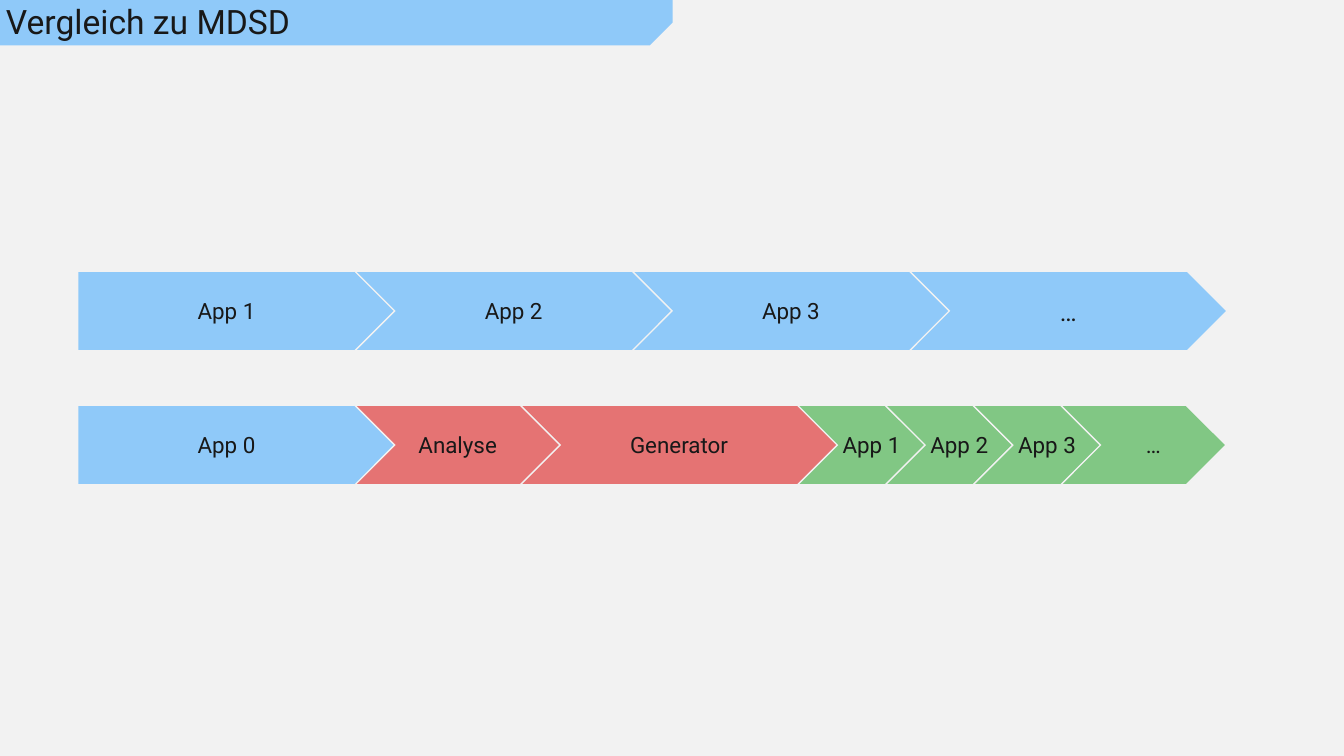
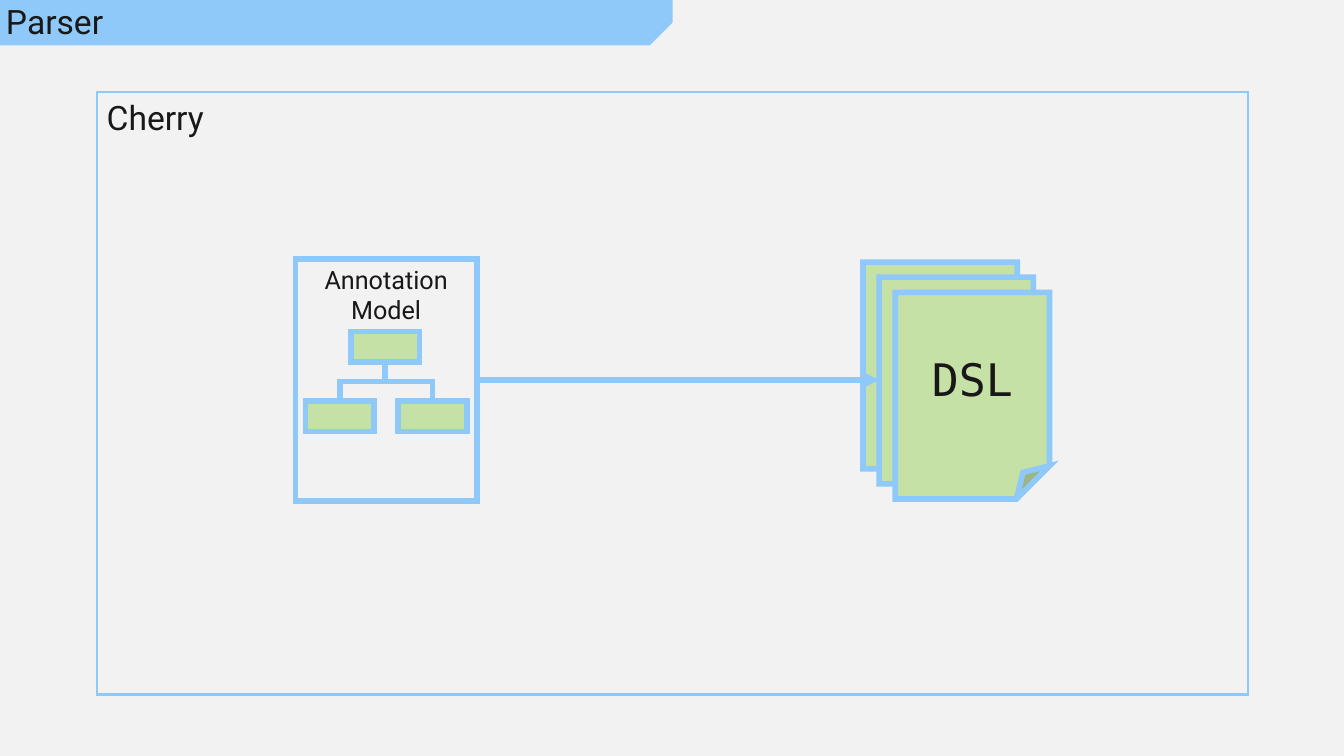
from dataclasses import dataclass

from lxml import etree
from pptx import Presentation
from pptx.dml.color import RGBColor
from pptx.enum.shapes import MSO_CONNECTOR, MSO_SHAPE
from pptx.enum.text import MSO_ANCHOR, PP_ALIGN
from pptx.oxml.ns import qn
from pptx.util import Inches, Pt

RECTANGLE = MSO_SHAPE.RECTANGLE
SNIPPED = MSO_SHAPE.SNIP_1_RECTANGLE
PENTAGON = MSO_SHAPE.PENTAGON
CHEVRON = MSO_SHAPE.CHEVRON
FOLDED_PAGE = MSO_SHAPE.FOLDED_CORNER
STRAIGHT = MSO_CONNECTOR.STRAIGHT
ELBOW = MSO_CONNECTOR.ELBOW
LEFT, CENTER = PP_ALIGN.LEFT, PP_ALIGN.CENTER
TOP, MIDDLE = MSO_ANCHOR.TOP, MSO_ANCHOR.MIDDLE


@dataclass(frozen=True)
class Theme:
    """Colours, fonts, type sizes and line widths of the deck."""
    background: str = "F2F2F2"
    text: str = "181818"
    blue: str = "8FC9F9"
    red: str = "E57373"
    green: str = "81C784"
    pale_green: str = "C5E1A5"
    font: str = "Roboto"
    code_font: str = "DejaVu Sans Mono"
    title_size: int = 24
    step_size: int = 16
    label_size: int = 18
    code_size: int = 32
    step_line: float = 1
    frame_line: float = 1.5
    bold_line: float = 4


THEME = Theme()


def set_line(shape, color, width):
    """Give a shape or connector a solid line with mitred corners."""
    shape.line.color.rgb = RGBColor.from_string(color)
    shape.line.width = Pt(width)
    etree.SubElement(shape.line._ln, qn("a:miter"), lim="800000")


def set_adjustment(shape, value):
    """Set the single adjustment of a preset shape as a fraction."""
    guides = shape._element.spPr.find(qn("a:prstGeom")).find(qn("a:avLst"))
    for guide in list(guides):
        guides.remove(guide)
    etree.SubElement(guides, qn("a:gd"), name="adj", fmla=f"val {round(value * 100000)}")


def write_text(shape, text, size, font=THEME.font, align=CENTER, anchor=MIDDLE):
    """Put one formatted paragraph in a shape and return its text frame."""
    frame = shape.text_frame
    frame.text = text
    frame.word_wrap = True
    frame.vertical_anchor = anchor
    paragraph = frame.paragraphs[0]
    paragraph.alignment = align
    run_font = paragraph.runs[0].font
    run_font.name = font
    run_font.size = Pt(size)
    run_font.color.rgb = RGBColor.from_string(THEME.text)
    return frame


def add_box(shapes, kind, left, top, width, height, fill, line=None, line_width=1):
    """Add a filled preset shape, outlined when a line colour is given."""
    shape = shapes.add_shape(kind, Inches(left), Inches(top), Inches(width), Inches(height))
    shape.shadow.inherit = False
    shape.fill.solid()
    shape.fill.fore_color.rgb = RGBColor.from_string(fill)
    if line:
        set_line(shape, line, line_width)
    else:
        shape.line.fill.background()
    return shape


def add_line(shapes, kind, start, end):
    """Add a bold blue connector without a shadow."""
    connector = shapes.add_connector(kind, *(Inches(value) for value in (*start, *end)))
    set_line(connector, THEME.blue, THEME.bold_line)
    etree.SubElement(connector._element.spPr, qn("a:effectLst"))
    return connector


def add_arrow(shapes, start, end):
    """Add a straight connector with a triangle at its end."""
    connector = add_line(shapes, STRAIGHT, start, end)
    etree.SubElement(connector.line._ln, qn("a:tailEnd"), type="triangle")


def add_branch(shapes, start, end):
    """Add an elbow that leaves downwards: a turned box around the same centre."""
    width, height = end[1] - start[1], abs(end[0] - start[0])
    left = (start[0] + end[0] - width) / 2
    top = (start[1] + end[1] - height) / 2
    right, bottom = left + width, top + height
    if end[0] < start[0]:
        add_line(shapes, ELBOW, (left, top), (right, bottom)).rotation = 90
    else:
        add_line(shapes, ELBOW, (right, top), (left, bottom)).rotation = 270


def add_titled_slide(presentation, title):
    """Add a blank slide with the shared background, title band and title."""
    slide = presentation.slides.add_slide(presentation.slide_layouts[6])
    slide.background.fill.solid()
    slide.background.fill.fore_color.rgb = RGBColor.from_string(THEME.background)
    band = add_box(slide.shapes, SNIPPED, 3.11, -3.11, 0.45, 6.67, THEME.blue)
    set_adjustment(band, 0.5)
    band.rotation = 90
    box = slide.shapes.add_textbox(Inches(0.06), Inches(0.05), Inches(6.67), Inches(0.45))
    frame = write_text(box, title, THEME.title_size, align=LEFT, anchor=TOP)
    frame.margin_left = frame.margin_top = frame.margin_right = frame.margin_bottom = 0
    frame.paragraphs[0].line_spacing = 0.9
    return slide


def add_process(shapes, top, steps):
    """Add a row of interlocking steps, each given as text, width, fill and size."""
    left, height, overlap, narrow = 0.77, 0.79, 0.4, 2
    for index, (text, width, fill, size) in enumerate(steps):
        kind = CHEVRON if index else PENTAGON
        step = add_box(shapes, kind, left, top, width, height, fill,
                       THEME.background, THEME.step_line)
        frame = write_text(step, text, size)
        if width < narrow:
            frame.word_wrap = False
            frame.margin_left, frame.margin_right = Inches(0.2), 0
        left += width - overlap


def add_annotation_model(shapes):
    """Add the framed tree: one root node above two child nodes."""
    group = shapes.add_group_shape().shapes
    frame = add_box(group, RECTANGLE, 2.93, 2.57, 1.8, 2.4, THEME.background,
                    THEME.blue, THEME.bold_line)
    write_text(frame, "Annotation Model", THEME.label_size, anchor=TOP)
    node_width, node_height, child_top = 0.68, 0.3, 3.98
    root_left, root_top = 3.48, 3.29
    child_lefts = (3.03, 3.95)
    for left, top in [(root_left, root_top)] + [(left, child_top) for left in child_lefts]:
        add_box(group, RECTANGLE, left, top, node_width, node_height,
                THEME.pale_green, THEME.blue, THEME.bold_line)
    root_exit = (root_left + node_width / 2, root_top + node_height)
    for left in child_lefts:
        add_branch(group, root_exit, (left + node_width / 2, child_top))


def add_page_stack(shapes, text, count=3):
    """Add overlapping folded pages with the text on the front one."""
    group = shapes.add_group_shape().shapes
    for index in range(count):
        page = add_box(group, FOLDED_PAGE, 8.56 + 0.16 * index, 2.6 + 0.15 * index,
                       1.53, 2.05, THEME.pale_green, THEME.blue, THEME.bold_line)
        set_adjustment(page, 0.215)
    write_text(page, text, THEME.code_size, THEME.code_font)


def build_comparison(presentation):
    """Build the slide that compares the two development processes."""
    shapes = add_titled_slide(presentation, "Vergleich zu MDSD").shapes
    wide, medium, narrow = 3.15, 2.04, 1.27
    size = THEME.step_size
    add_process(shapes, 2.69, [
        ("App 1", wide, THEME.blue, size),
        ("App 2", wide, THEME.blue, size),
        ("App 3", wide, THEME.blue, size),
        ("…", wide, THEME.blue, THEME.label_size),
    ])
    add_process(shapes, 4.02, [
        ("App 0", wide, THEME.blue, size),
        ("Analyse", medium, THEME.red, size),
        ("Generator", wide, THEME.red, size),
        ("App 1", narrow, THEME.green, size),
        ("App 2", narrow, THEME.green, size),
        ("App 3", narrow, THEME.green, size),
        ("…", 1.64, THEME.green, size),
    ])


def build_parser(presentation):
    """Build the slide that leads from the annotation model to the DSL."""
    shapes = add_titled_slide(presentation, "Parser").shapes
    frame = add_box(shapes, RECTANGLE, 0.96, 0.91, 11.42, 5.98, THEME.background,
                    THEME.blue, THEME.frame_line)
    write_text(frame, "Cherry", THEME.title_size, align=LEFT, anchor=TOP)
    add_annotation_model(shapes)
    add_page_stack(shapes, "DSL")
    add_arrow(shapes, (4.72, 3.77), (8.72, 3.77))


def main():
    """Build and save the presentation."""
    presentation = Presentation()
    presentation.slide_width = Inches(13.33)
    presentation.slide_height = Inches(7.5)
    build_comparison(presentation)
    build_parser(presentation)
    presentation.save("out.pptx")


main()
